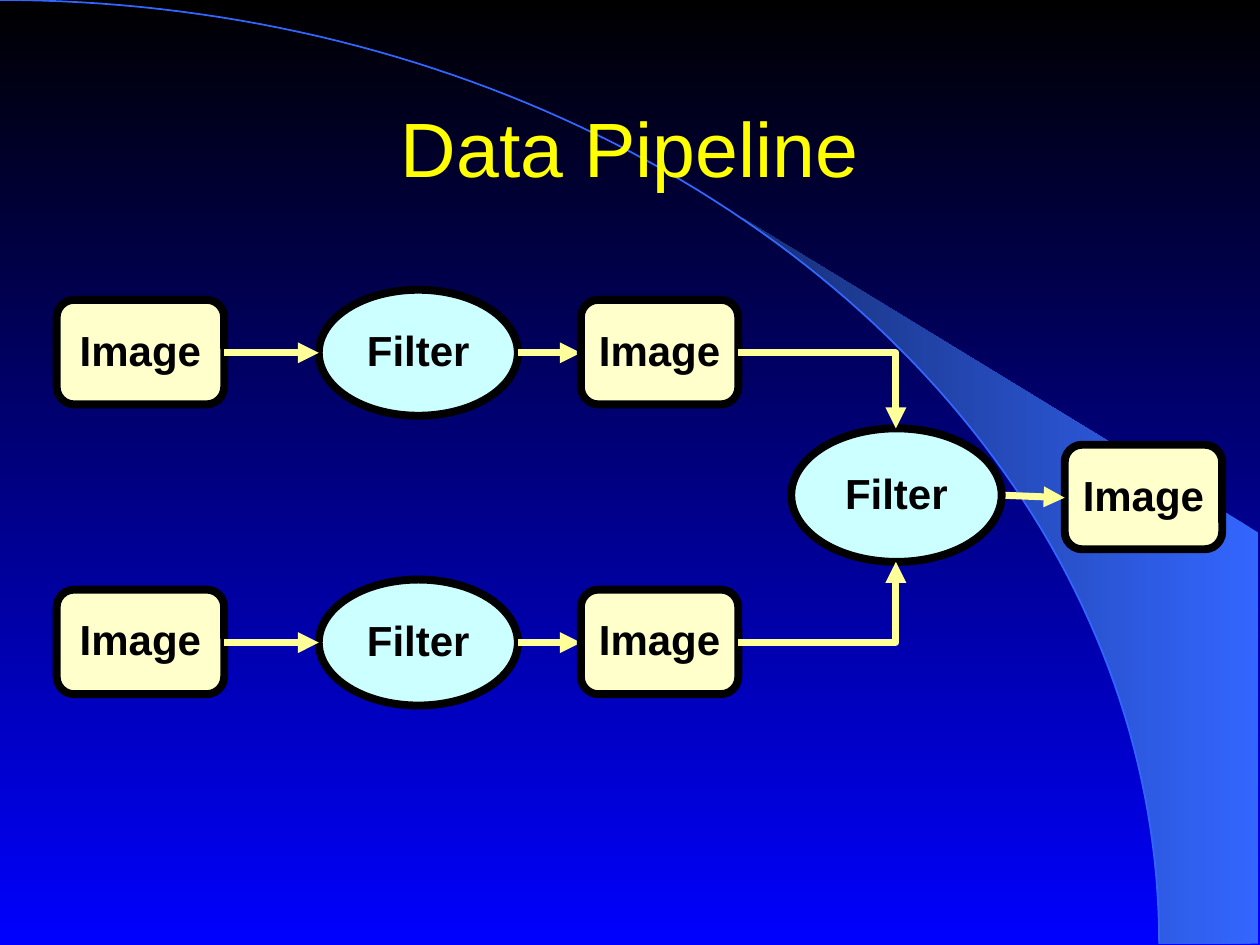
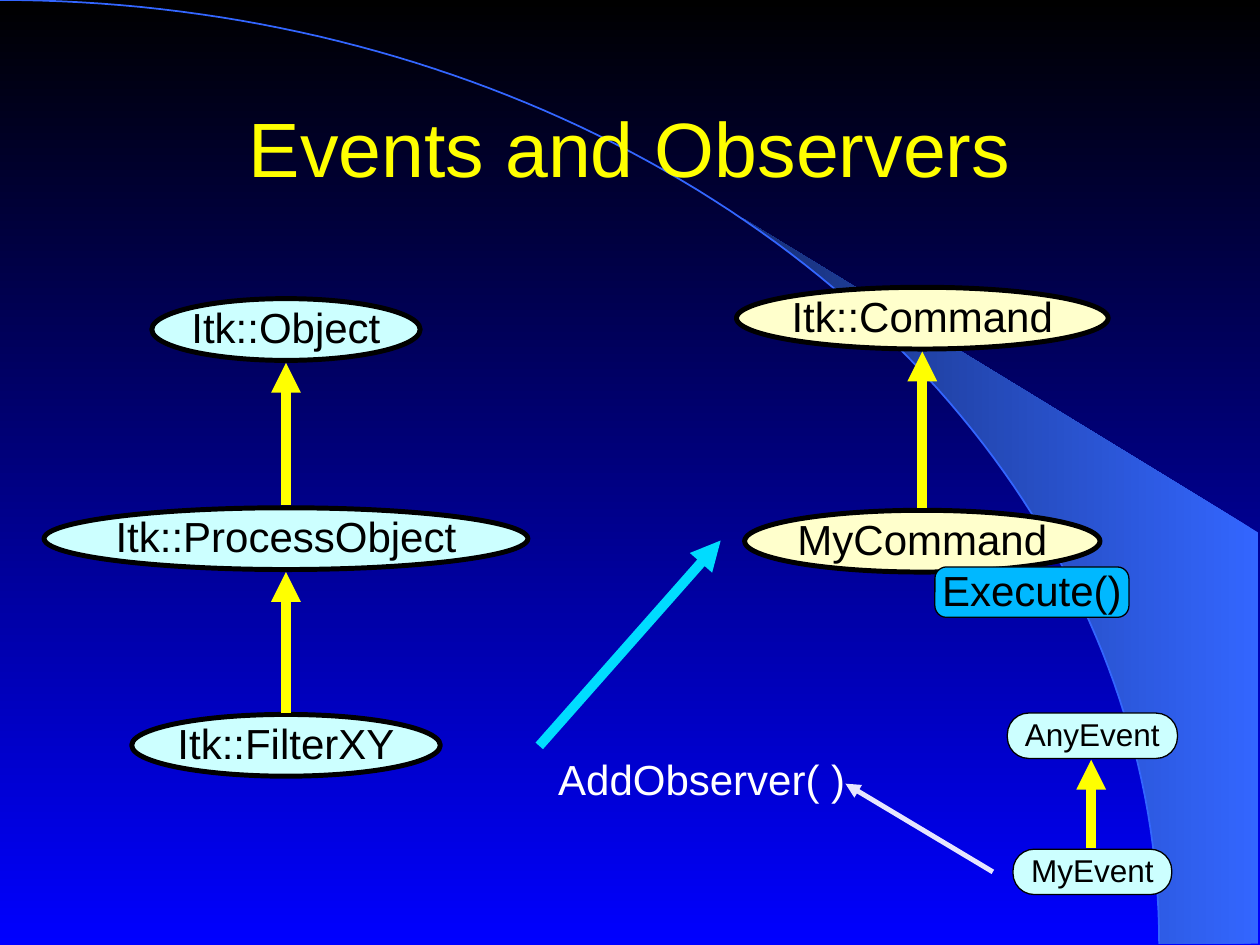
from math import cos, radians, sin

from lxml.etree import SubElement
from pptx import Presentation
from pptx.dml.color import RGBColor
from pptx.enum.shapes import MSO_CONNECTOR as Link, MSO_SHAPE as Shape
from pptx.enum.text import MSO_ANCHOR as Anchor, PP_ALIGN as Align
from pptx.oxml.ns import qn
from pptx.util import Inches, Pt

BLACK = RGBColor(0x00, 0x00, 0x00)
BLUE = RGBColor(0x00, 0x00, 0xFF)
ARC_BLUE = RGBColor(0x33, 0x66, 0xFF)
ARC_DARK = RGBColor(0x17, 0x2F, 0x75)
YELLOW = RGBColor(0xFF, 0xFF, 0x00)
PALE_YELLOW = RGBColor(0xFF, 0xFF, 0x99)
CREAM = RGBColor(0xFF, 0xFF, 0xCC)
ICE = RGBColor(0xCC, 0xFF, 0xFF)
METHOD_BLUE = RGBColor(0x00, 0xB8, 0xFF)
CYAN = RGBColor(0x00, 0xDC, 0xFF)
LAVENDER = RGBColor(0xE6, 0xE6, 0xFF)
WHITE = RGBColor(0xFF, 0xFF, 0xFF)


def add_label(page, kind, place, text, fill=None, border=0, corner=None,
              size=24, color=BLACK, bold=False, align=Align.CENTER):
    """Add a labelled shape, or a plain text box when kind is None."""
    place = [Inches(value) for value in place]
    if kind is None:
        box = page.shapes.add_textbox(*place)
    else:
        box = page.shapes.add_shape(kind, *place)
        box.shadow.inherit = False
        box.fill.solid()
        box.fill.fore_color.rgb = fill
        box.line.color.rgb = BLACK
        box.line.width = Pt(border)
        if corner is not None:
            box.adjustments[0] = corner
    frame = box.text_frame
    frame.word_wrap = kind is None
    frame.vertical_anchor = Anchor.MIDDLE
    frame.margin_left = frame.margin_right = 0
    frame.margin_top = frame.margin_bottom = 0
    para = frame.paragraphs[0]
    para.text = text
    para.alignment = align
    para.line_spacing = 0.93
    para.font.name = "Arial"
    para.font.size = Pt(size)
    para.font.bold = bold
    para.font.color.rgb = color


def add_arrow(page, start, end, color, width, bent=False):
    """Add an arrow; a bent one leaves sideways and turns once."""
    kind = Link.ELBOW if bent else Link.STRAIGHT
    ends = [Inches(value) for value in (*start, *end)]
    arrow = page.shapes.add_connector(kind, *ends)
    arrow.line.color.rgb = color
    arrow.line.width = Pt(width)
    properties = arrow.element.spPr
    if bent:
        properties.find(qn("a:prstGeom")).set("prst", "bentConnector2")
    SubElement(arrow.line._get_or_add_ln(), qn("a:tailEnd"), type="triangle")
    SubElement(properties, qn("a:effectLst"))


deck = Presentation()
deck.slide_width, deck.slide_height = Inches(10), Inches(7.5)

# Shared background: black to blue, top to bottom
backdrop = deck.slide_master.background.fill
backdrop.gradient()
backdrop.gradient_angle = 270
for stop, color in zip(backdrop.gradient_stops, (BLACK, BLUE)):
    stop.color.rgb = color
backdrop.gradient_stops[0].position = 0
backdrop.gradient_stops[1].position = 1

# Quarter ellipse from the bottom right up to the top left corner
arc = [(Inches(9.2 * cos(radians(angle))), Inches(7.49 * (1 - sin(radians(angle)))))
       for angle in range(91)]
corners = [(5.89, 1.73), (9.99, 4.23), (9.99, 7.49)]
crescent = arc[:51] + [(Inches(x), Inches(y)) for x, y in corners]

pages = []
for title in ("Data Pipeline", "Events and Observers"):
    page = deck.slides.add_slide(deck.slide_layouts[6])

    # Shaded crescent and arc line
    for points, closed in ((crescent, True), (arc, False)):
        builder = page.shapes.build_freeform(*points[0])
        builder.add_line_segments(points[1:], close=closed)
        outline = builder.convert_to_shape()
        outline.shadow.inherit = False
        if closed:
            outline.line.fill.background()
            outline.fill.gradient()
            outline.fill.gradient_angle = 180
            stops = outline.fill.gradient_stops
            for stop, color, position in zip(stops, (ARC_BLUE, ARC_DARK), (0, 1)):
                stop.color.rgb = color
                stop.position = position
        else:
            outline.fill.background()
            outline.line.color.rgb = ARC_BLUE
            outline.line.width = Pt(1)

    add_label(page, None, (0.75, 0.58, 8.5, 1.25), title, size=44, color=YELLOW)
    pages.append(page)

pipeline, events = pages

# Pipeline: two parallel rows feeding one last filter
image = dict(text="Image", fill=CREAM, border=4.5, corner=0.167, bold=True)
filtering = dict(text="Filter", fill=ICE, border=4.5, bold=True)
for middle in (2.8, 5.1):
    add_label(pipeline, Shape.ROUNDED_RECTANGLE, (0.45, middle - 0.42, 1.33, 0.83), **image)
    add_label(pipeline, Shape.OVAL, (2.53, middle - 0.5, 1.58, 1), **filtering)
    for left, right in ((1.78, 2.53), (4.11, 4.61)):
        add_arrow(pipeline, (left, middle), (right, middle), PALE_YELLOW, 4)
    add_label(pipeline, Shape.ROUNDED_RECTANGLE, (4.61, middle - 0.42, 1.25, 0.83), **image)

add_label(pipeline, Shape.ROUNDED_RECTANGLE, (8.45, 3.53, 1.25, 0.83), **image)
add_arrow(pipeline, (7.95, 3.93), (8.45, 3.95), PALE_YELLOW, 4)
add_label(pipeline, Shape.OVAL, (6.28, 3.4, 1.67, 1.06), **filtering)
for middle, filter_edge in ((2.8, 3.4), (5.1, 4.46)):
    add_arrow(pipeline, (5.86, middle), (7.11, filter_edge), PALE_YELLOW, 4, bent=True)

# Class hierarchies: ovals centred on a column
classes = [
    ("Itk::Object", 2.27, 2.37, 2.13, ICE),
    ("Itk::ProcessObject", 2.27, 4.03, 3.84, ICE),
    ("Itk::FilterXY", 2.27, 5.67, 2.45, ICE),
    ("Itk::Command", 7.32, 2.28, 2.95, CREAM),
    ("MyCommand", 7.32, 4.05, 2.82, CREAM),
]
for name, center, top, width, fill in classes:
    add_label(events, Shape.OVAL, (center - width / 2, top, width, 0.49), name, fill, 2.83)

# Method and event boxes
add_label(events, Shape.ROUNDED_RECTANGLE, (7.42, 4.5, 1.54, 0.4), "Execute()",
          METHOD_BLUE, 0.75, 0.23)
for name, top, width in (("AnyEvent", 5.66, 1.35), ("MyEvent", 6.74, 1.26)):
    add_label(events, Shape.ROUNDED_RECTANGLE, (8.67 - width / 2, top, width, 0.36), name,
              ICE, 0.75, 0.47, size=18)

# Inheritance arrows, pointing up to the parent
for center, bottom, top in ((2.27, 4.01, 2.88), (2.27, 5.66, 4.54),
                            (7.32, 4.03, 2.79), (8.66, 6.73, 6.03)):
    add_arrow(events, (center, bottom), (center, top), YELLOW, 5.67)

# Observer registration
add_arrow(events, (4.28, 5.92), (5.72, 4.29), CYAN, 5.67)
add_label(events, None, (4.43, 6.03, 2.28, 0.35), "AddObserver( )",
          color=WHITE, align=Align.LEFT)
add_arrow(events, (7.88, 6.92), (6.71, 6.22), LAVENDER, 2.83)

deck.save("out.pptx")
